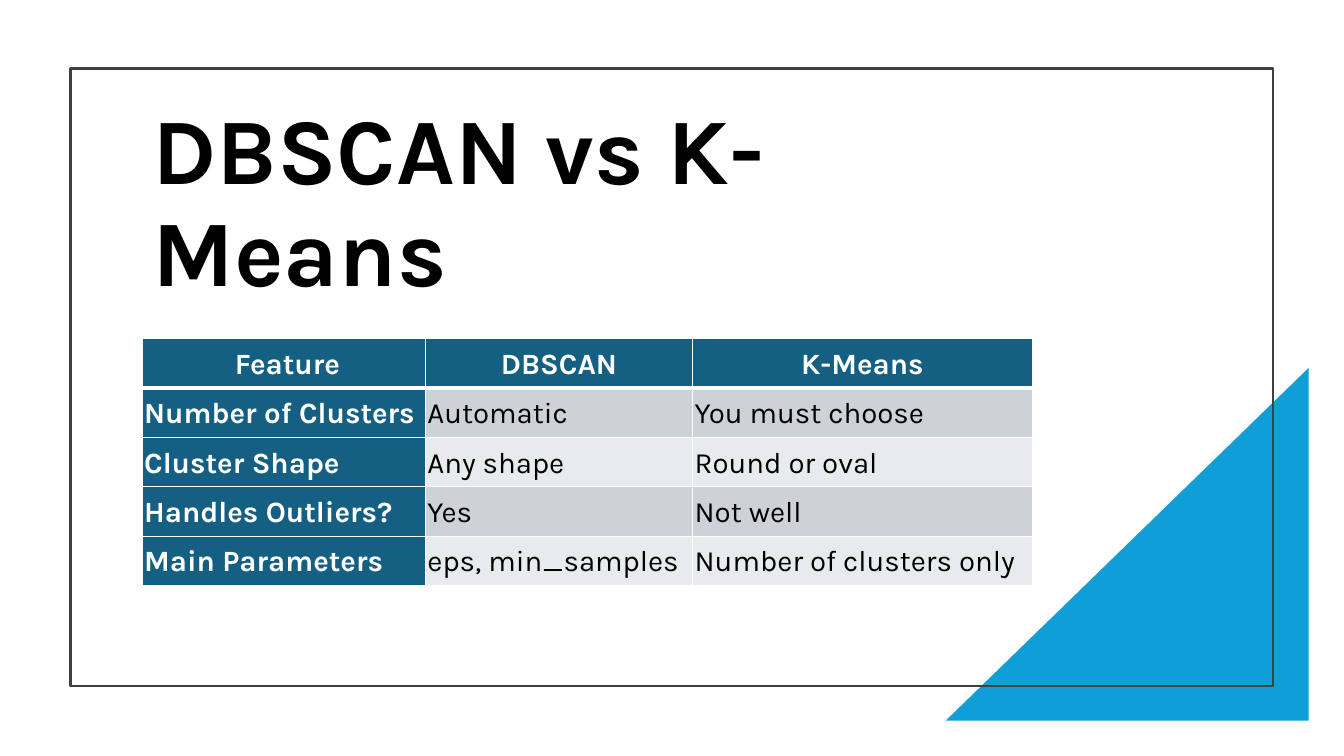
from lxml import etree
from pptx import Presentation
from pptx.dml.color import RGBColor
from pptx.enum.shapes import MSO_SHAPE
from pptx.enum.text import MSO_ANCHOR, PP_ALIGN
from pptx.oxml.ns import qn
from pptx.util import Pt

RECTANGLE, RIGHT_TRIANGLE = MSO_SHAPE.RECTANGLE, MSO_SHAPE.RIGHT_TRIANGLE
MIDDLE = MSO_ANCHOR.MIDDLE
LEFT, CENTER = PP_ALIGN.LEFT, PP_ALIGN.CENTER

EMU_PER_PX = 9144  # 100 px to the inch
FONT = "Karla"
COLORS = {
    "accent": "0F9ED5",
    "frame": "404040",
    "header": "156082",
    "band_dark": "CCD2D8",
    "band_light": "E8EAED",
    "text": "000000",
    "white": "FFFFFF",
}
COLUMN_WIDTHS = [281, 265, 337]
ROWS = [
    [" Feature", "DBSCAN", "K-Means"],
    ["Number of Clusters", "Automatic", "You must choose"],
    ["Cluster Shape", "Any shape", "Round or oval"],
    ["Handles Outliers?", "Yes", "Not well"],
    ["Main Parameters", "eps, min_samples", "Number of clusters only"],
]


def px(length):
    return length * EMU_PER_PX


def color(name):
    return RGBColor.from_string(COLORS[name])


def style_paragraph(paragraph, size, color_name, bold):
    font = paragraph.font
    font.name, font.size, font.bold = FONT, Pt(size), bold
    font.color.rgb = color(color_name)


def add_backdrop(slide, left, top, width, height):
    # Corner triangle, overhanging the frame at the lower right
    triangle_width, triangle_height, overhang = 360, 350, 35
    triangle = slide.shapes.add_shape(
        RIGHT_TRIANGLE,
        px(left + width + overhang - triangle_width),
        px(top + height + overhang - 1 - triangle_height),
        px(triangle_width), px(triangle_height))
    triangle.shadow.inherit = False
    triangle.fill.solid()
    triangle.fill.fore_color.rgb = color("accent")
    triangle.line.fill.background()
    triangle._element.spPr.xfrm.set("flipH", "1")

    # Outlined frame
    frame = slide.shapes.add_shape(
        RECTANGLE, px(left), px(top), px(width), px(height))
    frame.shadow.inherit = False
    frame.fill.background()
    frame.line.color.rgb = color("frame")
    frame.line.width = Pt(1.5)


def add_title(slide, text, left, top, width, height):
    box = slide.shapes.add_textbox(px(left), px(top), px(width), px(height))
    text_frame = box.text_frame
    text_frame.word_wrap = True
    text_frame.vertical_anchor = MIDDLE
    paragraph = text_frame.paragraphs[0]
    paragraph.text = text
    paragraph.line_spacing = 0.9
    style_paragraph(paragraph, 67, "text", True)


def set_borders(cell, widths):
    properties = cell._tc.get_or_add_tcPr()
    for index, (side, width) in enumerate(widths.items()):
        line = etree.Element(qn(f"a:ln{side}"), w=str(Pt(width)))
        fill = etree.SubElement(line, qn("a:solidFill"))
        etree.SubElement(fill, qn("a:srgbClr"), val=COLORS["white"])
        properties.insert(index, line)


def add_comparison_table(slide, left, top, width, height):
    graphic_frame = slide.shapes.add_table(
        len(ROWS), len(COLUMN_WIDTHS), px(left), px(top), px(width), px(height))
    table = graphic_frame.table
    for column, column_width in zip(table.columns, COLUMN_WIDTHS):
        column.width = px(column_width)
    for row in table.rows:
        row.height = px(height // len(ROWS))

    for row_index, texts in enumerate(ROWS):
        is_header = row_index == 0
        band = "band_dark" if row_index % 2 else "band_light"
        for column_index, text in enumerate(texts):
            is_label = is_header or column_index == 0
            cell = table.cell(row_index, column_index)
            cell.fill.solid()
            cell.fill.fore_color.rgb = color("header" if is_label else band)
            cell.vertical_anchor = MIDDLE
            cell.margin_left = cell.margin_right = px(2)
            cell.margin_top = cell.margin_bottom = px(2)
            set_borders(cell, {"L": 1, "R": 1,
                               "T": 3 if row_index == 1 else 1,
                               "B": 3 if is_header else 1})
            paragraph = cell.text_frame.paragraphs[0]
            paragraph.text = text
            paragraph.alignment = CENTER if is_header else LEFT
            paragraph.line_spacing = 1.07
            paragraph.space_after = Pt(8)
            style_paragraph(
                paragraph, 21, "white" if is_label else "text", is_label)


def main():
    presentation = Presentation()
    presentation.slide_width, presentation.slide_height = px(1333), px(750)
    slide = presentation.slides.add_slide(presentation.slide_layouts[6])
    add_backdrop(slide, 70, 68, 1193, 613)
    add_title(slide, "DBSCAN vs K-Means", 141, 115, 883, 177)
    add_comparison_table(slide, 141, 336, sum(COLUMN_WIDTHS), 245)
    presentation.save("out.pptx")


if __name__ == "__main__":
    main()
